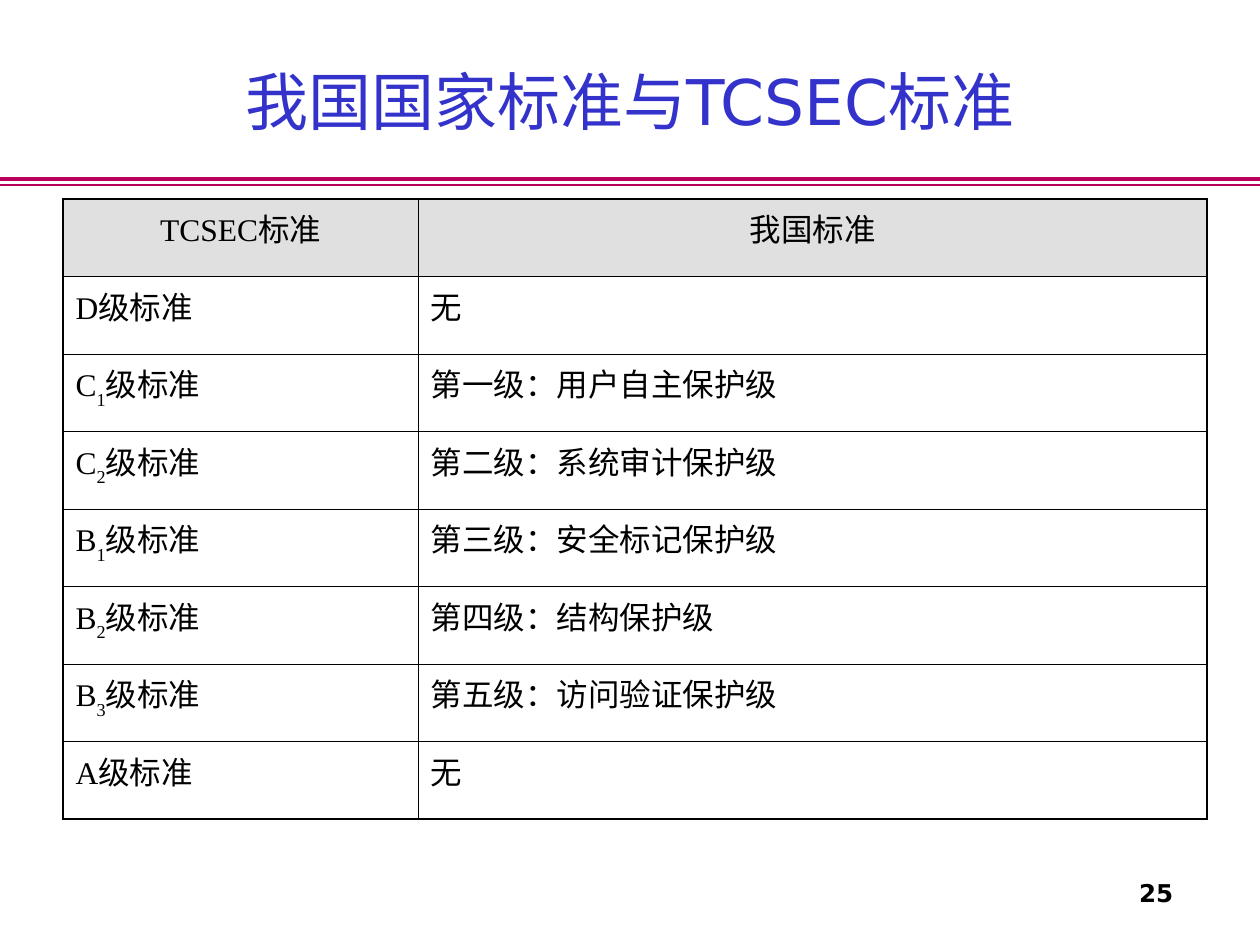
from lxml.etree import SubElement
from pptx import Presentation
from pptx.dml.color import RGBColor
from pptx.enum.shapes import MSO_CONNECTOR
from pptx.enum.text import MSO_ANCHOR, PP_ALIGN
from pptx.oxml.ns import qn
from pptx.util import Inches, Pt

COLORS = {
    "title": "3333CC",
    "rule": "BA005D",
    "text": "000000",
    "border": "000000",
    "header": "E0E0E0",
}
TITLE_FORMAT = {"name": "DejaVu Sans", "size": Pt(36), "bold": False}
CELL_FORMAT = {"name": "Times New Roman", "size": Pt(18), "bold": False}
NUMBER_FORMAT = {"name": "DejaVu Sans", "size": Pt(14), "bold": True}

OUTER, INNER = Pt(0.96), Pt(0.45)
HANGING = Inches(0.38)
COLUMN_WIDTHS = (2.82, 6.26)
ROW_HEIGHT = 0.615

# Class letter, subscript, matching national standard
LEVELS = [
    ("D", "", "无"),
    ("C", "1", "第一级：用户自主保护级"),
    ("C", "2", "第二级：系统审计保护级"),
    ("B", "1", "第三级：安全标记保护级"),
    ("B", "2", "第四级：结构保护级"),
    ("B", "3", "第五级：访问验证保护级"),
    ("A", "", "无"),
]


def color(key):
    return RGBColor.from_string(COLORS[key])


def format_font(font, values, color_key):
    for attribute, value in values.items():
        setattr(font, attribute, value)
    font.color.rgb = color(color_key)


def add_rule(slide, top, weight):
    rule = slide.shapes.add_connector(
        MSO_CONNECTOR.STRAIGHT, 0, Inches(top), Inches(10), Inches(top))
    rule.line.color.rgb = color("rule")
    rule.line.width = Pt(weight)
    SubElement(rule._element.spPr, qn("a:effectLst"))


def set_title(slide, text):
    title = slide.shapes.title
    title.left, title.top = Inches(0.75), Inches(0.17)
    title.width, title.height = Inches(8.5), Inches(1.25)
    title.text_frame.vertical_anchor = MSO_ANCHOR.MIDDLE
    paragraph = title.text_frame.paragraphs[0]
    paragraph.alignment = PP_ALIGN.CENTER
    run = paragraph.add_run()
    run.text = text
    format_font(run.font, TITLE_FORMAT, "title")


def set_borders(cell, widths):
    """Draw the cell's sides from a dict of side letter to width."""
    properties = cell._tc.get_or_add_tcPr()
    for side, width in widths.items():
        border = SubElement(properties, qn(f"a:ln{side}"), w=str(int(width)))
        fill = SubElement(border, qn("a:solidFill"))
        SubElement(fill, qn("a:srgbClr"), val=COLORS["border"])


def write_cell(cell, parts, alignment):
    """Write the parts as runs; the middle one of three is a subscript."""
    paragraph = cell.text_frame.paragraphs[0]
    paragraph.alignment = alignment
    properties = paragraph._p.get_or_add_pPr()
    properties.set("marL", str(HANGING))
    properties.set("indent", str(-HANGING))
    for index, part in enumerate(parts):
        run = paragraph.add_run()
        run.text = part
        format_font(run.font, CELL_FORMAT, "text")
        if index == 1:
            run._r.get_or_add_rPr().set("baseline", "-30000")


def add_standards_table(slide):
    rows = [(("TCSEC标准",), ("我国标准",))]
    for letter, subscript, national in LEVELS:
        level = (letter, subscript, "级标准") if subscript else (f"{letter}级标准",)
        rows.append((level, (national,)))

    table = slide.shapes.add_table(
        len(rows), len(COLUMN_WIDTHS), Inches(0.5), Inches(1.58),
        Inches(sum(COLUMN_WIDTHS)), Inches(ROW_HEIGHT * len(rows))).table
    table.first_row = table.horz_banding = False
    for column, width in zip(table.columns, COLUMN_WIDTHS):
        column.width = Inches(width)

    last_row, last_column = len(rows) - 1, len(COLUMN_WIDTHS) - 1
    for r, row in enumerate(rows):
        table.rows[r].height = Inches(ROW_HEIGHT)
        for c, parts in enumerate(row):
            cell = table.cell(r, c)
            write_cell(cell, parts, PP_ALIGN.LEFT if r else PP_ALIGN.CENTER)
            set_borders(cell, {
                "L": OUTER if c == 0 else INNER,
                "R": OUTER if c == last_column else INNER,
                "T": OUTER if r == 0 else INNER,
                "B": OUTER if r == last_row else INNER,
            })
            if r == 0:
                cell.fill.solid()
                cell.fill.fore_color.rgb = color("header")
            else:
                cell.fill.background()


def add_page_number(slide, number):
    frame = slide.shapes.add_textbox(
        Inches(8.83), Inches(6.92), Inches(0.58), Inches(0.33)).text_frame
    frame.word_wrap = False
    frame.vertical_anchor = MSO_ANCHOR.MIDDLE
    paragraph = frame.paragraphs[0]
    paragraph.alignment = PP_ALIGN.RIGHT
    run = paragraph.add_run()
    run.text = number
    format_font(run.font, NUMBER_FORMAT, "text")


def main():
    presentation = Presentation()
    presentation.slide_width = Inches(10)
    presentation.slide_height = Inches(7.5)
    slide = presentation.slides.add_slide(presentation.slide_layouts[5])
    add_rule(slide, 1.42, 2.25)
    add_rule(slide, 1.47, 1)
    set_title(slide, "我国国家标准与TCSEC标准")
    add_standards_table(slide)
    add_page_number(slide, "25")
    presentation.save("out.pptx")


if __name__ == "__main__":
    main()
